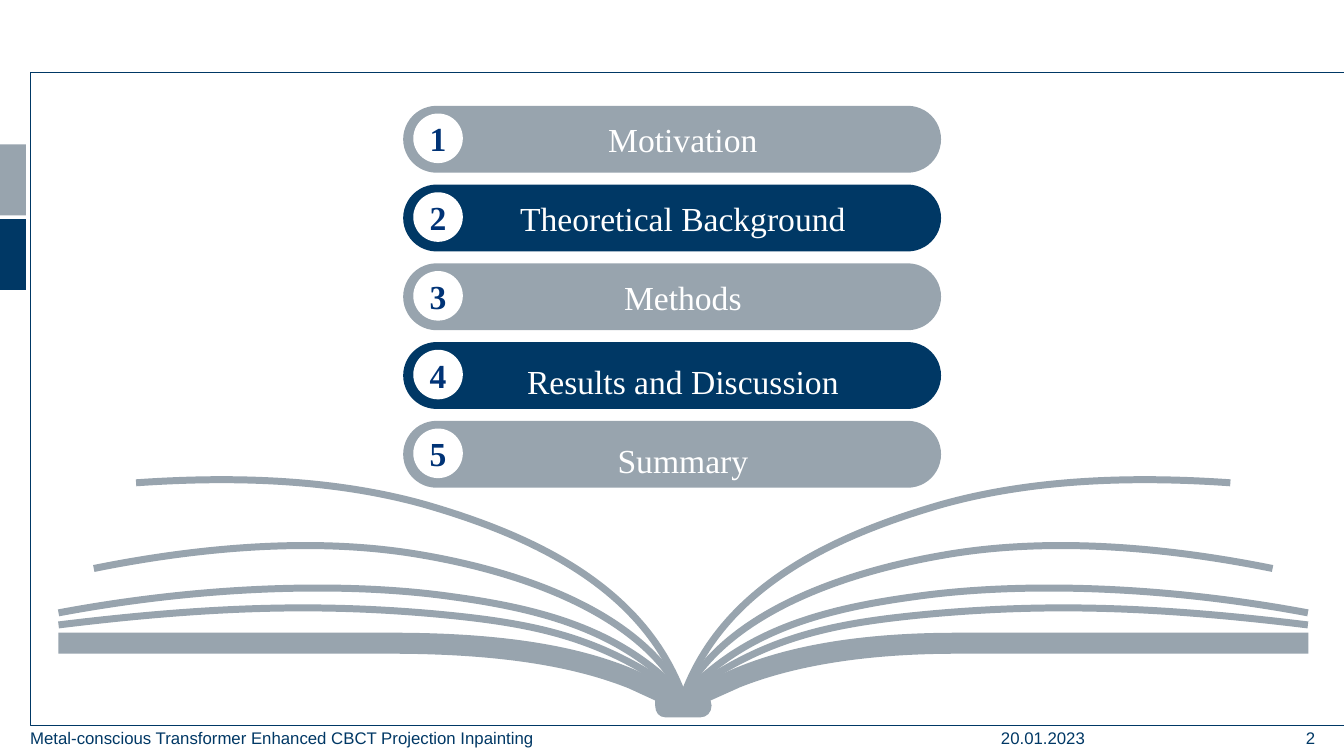
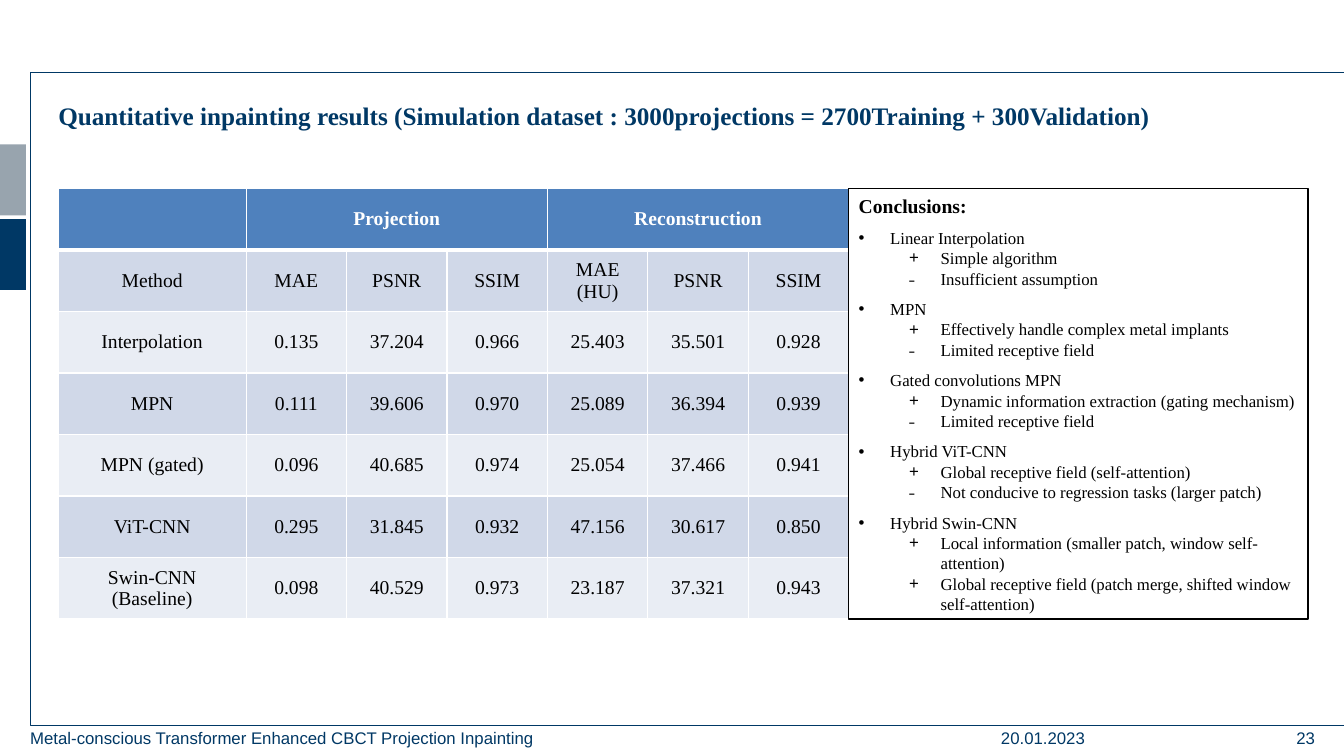
from dataclasses import dataclass

from lxml import etree
from pptx import Presentation
from pptx.dml.color import RGBColor
from pptx.enum.shapes import MSO_SHAPE
from pptx.enum.text import MSO_ANCHOR, MSO_AUTO_SIZE, PP_ALIGN
from pptx.oxml.ns import qn
from pptx.util import Pt

RECTANGLE, PILL, CIRCLE = MSO_SHAPE.RECTANGLE, MSO_SHAPE.ROUNDED_RECTANGLE, MSO_SHAPE.OVAL
LEFT, CENTER, RIGHT = PP_ALIGN.LEFT, PP_ALIGN.CENTER, PP_ALIGN.RIGHT
TOP, MIDDLE = MSO_ANCHOR.TOP, MSO_ANCHOR.MIDDLE
NO_AUTOFIT = MSO_AUTO_SIZE.NONE


@dataclass(frozen=True)
class Theme:
    navy: str = "003865"
    gray: str = "98A4AE"
    number: str = "003376"
    white: str = "FFFFFF"
    black: str = "000000"
    header: str = "4F81BD"
    bands: tuple = ("D0D8E8", "E9EDF4")
    serif: str = "Times New Roman"
    sans: str = "Arial"
    agenda_size: int = 24
    title_size: int = 18
    table_size: int = 14
    note_size: int = 12
    footer_size: int = 12


THEME = Theme()
SLIDE_WIDTH, SLIDE_HEIGHT = 960, 540
MARGIN, CONTENT_WIDTH = 41.6, 892.6
FRAME_LEFT, FRAME_TOP, FRAME_BOTTOM = 21.6, 52, 518.4
SPINE_X, SPINE_Y = 488, 497.5
NOTE_INSETS = (7.2, 3.6, 7.2, 3.6)

AGENDA = [
    ("Motivation", 1),
    ("Theoretical Background", 1),
    ("Methods", 1),
    ("Results and Discussion", 1.3),
    ("Summary", 1.3),
]

LEFT_PAGES = [
    [(446.4, 452.2, 392.4, 435.6, 322.6, 426.2), (257.8, 416.9, 157, 416.2, 41.8, 437.8)],
    [(429.8, 454.3, 380.9, 445, 310.3, 438.5), (229.7, 431.3, 153.4, 432.7, 41.8, 446.4)],
    [(457.9, 437.8, 372.2, 408.2, 298.8, 396), (234.7, 385.2, 156.2, 388.1, 67, 406.1)],
    [(459.4, 418.3, 378.7, 382.3, 304.6, 360.7), (241.2, 342.7, 169.9, 339.8, 97.2, 344.9)],
]

COVER_START = (41.8, 452)
COVER = [
    (272.9, 452), (362.2, 451.4, 424.8, 462.2, 469.4, 486),
    (483.8, 494.6), (492.5, 494.6), (506.9, 486),
    (553.7, 460.8, 616.3, 452, 683.3, 452),
    (934.6, 452), (934.6, 467), (683.3, 467),
    (625.7, 467, 571.7, 473.8, 528.5, 491),
    (507.6, 500.4), (508.3, 504), (508.3, 509, 504.7, 512.4, 500.4, 512.4),
    (475.2, 512.4), (470.9, 512.4, 468, 509, 468, 504),
    (468, 500.4), (449.3, 491.8),
    (406.1, 474.5, 349.2, 466.6, 272.9, 467), (41.8, 467),
]

RESULTS = [
    ["", "Projection", "", "", "Reconstruction", "", ""],
    ["Method", "MAE", "PSNR", "SSIM", "MAE (HU)", "PSNR", "SSIM"],
    ["Interpolation", "0.135", "37.204", "0.966", "25.403", "35.501", "0.928"],
    ["MPN", "0.111", "39.606", "0.970", "25.089", "36.394", "0.939"],
    ["MPN (gated)", "0.096", "40.685", "0.974", "25.054", "37.466", "0.941"],
    ["ViT-CNN", "0.295", "31.845", "0.932", "47.156", "30.617", "0.850"],
    ["Swin-CNN (Baseline)", "0.098", "40.529", "0.973", "23.187", "37.321", "0.943"],
]

CONCLUSIONS = [
    ("Linear Interpolation",
     [("+", "Simple algorithm"), ("˗", "Insufficient assumption")]),
    ("MPN",
     [("+", "Effectively handle complex metal implants"), ("˗", "Limited receptive field")]),
    ("Gated convolutions MPN",
     [("+", "Dynamic information extraction (gating mechanism)"),
      ("˗", "Limited receptive field")]),
    ("Hybrid ViT-CNN",
     [("+", "Global receptive field (self-attention)"),
      ("˗", "Not conducive to regression tasks (larger patch)")]),
    ("Hybrid Swin-CNN",
     [("+", "Local information (smaller patch, window self-attention)"),
      ("+", "Global receptive field (patch merge, shifted window self-attention)")]),
]


def rgb(color):
    return RGBColor.from_string(color)


def apply(target, values):
    for name, value in values.items():
        setattr(target, name, value)


def write(paragraph, text, size, color, face=THEME.serif, bold=False, **layout):
    apply(paragraph, layout)
    run = paragraph.add_run()
    run.text = text
    apply(run.font, {"name": face, "size": Pt(size), "bold": bold})
    run.font.color.rgb = rgb(color)


def set_frame(frame, insets=(0, 0, 0, 0), anchor=TOP, wrap=True):
    left, top, right, bottom = map(Pt, insets)
    apply(frame, {
        "margin_left": left, "margin_top": top,
        "margin_right": right, "margin_bottom": bottom,
        "vertical_anchor": anchor, "word_wrap": wrap, "auto_size": NO_AUTOFIT,
    })
    return frame.paragraphs[0]


def paint(shape, fill=None, line=None, weight=1):
    shape.shadow.inherit = False
    if fill:
        shape.fill.solid()
        shape.fill.fore_color.rgb = rgb(fill)
    else:
        shape.fill.background()
    if line:
        shape.line.color.rgb = rgb(line)
        shape.line.width = Pt(weight)
    else:
        shape.line.fill.background()


def add_block(slide, kind, box, **colors):
    shape = slide.shapes.add_shape(kind, *map(Pt, box))
    paint(shape, **colors)
    return shape


def add_frame(slide, box):
    return slide.shapes.add_textbox(*map(Pt, box)).text_frame


def add_label(slide, box, text, align=LEFT):
    write(set_frame(add_frame(slide, box)), text, THEME.footer_size, THEME.navy,
          THEME.sans, alignment=align)


def bend(outline, segments):
    steps = iter(list(outline.iter(qn("a:lnTo"))))
    for segment in segments:
        first = next(steps)
        if len(segment) == 6:
            first.tag = qn("a:cubicBezTo")
            for follower in (next(steps), next(steps)):
                first.append(follower[0])
                follower.getparent().remove(follower)


def add_outline(slide, start, segments, closed=False, mirrored=False, **colors):
    points = [start]
    for segment in segments:
        points.extend(zip(segment[::2], segment[1::2]))
    if mirrored:
        points = [(2 * SPINE_X - x, y) for x, y in points]
    points = [(Pt(x), Pt(y)) for x, y in points]
    builder = slide.shapes.build_freeform(*points[0])
    builder.add_line_segments(points[1:], close=closed)
    shape = builder.convert_to_shape()
    bend(shape._element, segments)
    paint(shape, **colors)


def add_common_parts(slide, page):
    add_block(slide, RECTANGLE, (0, 156.5, 18.6, 50.6), fill=THEME.navy)
    add_block(slide, RECTANGLE, (0, 103.2, 18.6, 50.6), fill=THEME.gray)
    add_outline(slide, (SLIDE_WIDTH, FRAME_TOP),
                [(FRAME_LEFT, FRAME_TOP), (FRAME_LEFT, FRAME_BOTTOM),
                 (SLIDE_WIDTH, FRAME_BOTTOM)],
                line=THEME.navy, weight=0.75)
    add_label(slide, (715, 520, 113, 15), "20.01.2023")
    add_label(slide, (FRAME_LEFT, 520, 642, 15),
              "Metal-conscious Transformer Enhanced CBCT Projection Inpainting")
    add_label(slide, (864, 520, 75.4, 15), page, RIGHT)


def add_book(slide):
    for page in LEFT_PAGES:
        for mirrored in (False, True):
            add_outline(slide, (SPINE_X, SPINE_Y), page, mirrored=mirrored,
                        line=THEME.gray, weight=5)
    add_outline(slide, COVER_START, COVER, closed=True, fill=THEME.gray)


def add_agenda(slide):
    left, first_top, pitch = 288, 75.6, 56.25
    for index, (topic, spacing) in enumerate(AGENDA):
        top = first_top + index * pitch
        pill = add_block(slide, PILL, (left, top, 384.2, 47.8),
                         fill=(THEME.gray, THEME.navy)[index % 2])
        pill.adjustments[0] = 0.5
        write(set_frame(pill.text_frame, (22.5, 3.6, 7.2, 3.6), MIDDLE, False),
              topic, THEME.agenda_size, THEME.white, alignment=CENTER, line_spacing=spacing)
        badge = add_block(slide, CIRCLE, (left + 7.2, top + 5.5, 35.4, 35.4), fill=THEME.white)
        write(set_frame(badge.text_frame, anchor=MIDDLE), str(index + 1),
              THEME.agenda_size, THEME.number, bold=True, alignment=CENTER)


def set_title(slide, text):
    title = slide.shapes.title
    apply(title, {"left": Pt(MARGIN), "top": Pt(71.4),
                  "width": Pt(CONTENT_WIDTH), "height": Pt(26)})
    write(set_frame(title.text_frame), text, THEME.title_size, THEME.navy,
          bold=True, alignment=LEFT)


def set_borders(cell, weights):
    properties = cell._tc.get_or_add_tcPr()
    for side, weight in weights.items():
        border = etree.SubElement(properties, qn(f"a:ln{side}"), w=str(Pt(weight)))
        fill = etree.SubElement(border, qn("a:solidFill"))
        etree.SubElement(fill, qn("a:srgbClr"), val=THEME.white)


def add_results(slide, top, height):
    row_count, column_count = len(RESULTS), len(RESULTS[0])
    method_width, metric_width = 134.2, 71.75
    width = method_width + (column_count - 1) * metric_width
    table = slide.shapes.add_table(row_count, column_count, Pt(MARGIN), Pt(top),
                                   Pt(width), Pt(height)).table
    for index, column in enumerate(table.columns):
        column.width = Pt(metric_width if index else method_width)
    for row_index, values in enumerate(RESULTS):
        table.rows[row_index].height = Pt(height / row_count)
        is_header = row_index == 0
        color = THEME.header if is_header else THEME.bands[(row_index - 1) % 2]
        for column_index, text in enumerate(values):
            cell = table.cell(row_index, column_index)
            set_borders(cell, {"L": 1, "R": 1, "T": 3 if row_index == 1 else 1,
                               "B": 3 if is_header else 1})
            cell.fill.solid()
            cell.fill.fore_color.rgb = rgb(color)
            cell.vertical_anchor = MIDDLE
            if text:
                write(cell.text_frame.paragraphs[0], text, THEME.table_size,
                      THEME.white if is_header else THEME.black,
                      bold=is_header, alignment=CENTER)
    for first in (1, 4):
        table.cell(0, first).merge(table.cell(0, first + 2))
    return MARGIN + width


def write_bullet(paragraph, mark, text, indent):
    properties = paragraph._p.get_or_add_pPr()
    properties.set("marL", str(Pt(indent)))
    properties.set("indent", str(Pt(-22.5)))
    etree.SubElement(properties, qn("a:buFont"), typeface=THEME.sans)
    etree.SubElement(properties, qn("a:buChar"), char=mark)
    write(paragraph, text, THEME.note_size, THEME.black, alignment=LEFT,
          line_spacing=Pt(14.55))


def add_conclusions(slide, left, top, height):
    width = MARGIN + CONTENT_WIDTH - left
    heading_height, group_height, last_height = 24.3, 50.85, 80
    heading = add_frame(slide, (left, top, width, heading_height))
    write(set_frame(heading, NOTE_INSETS), "Conclusions:", THEME.table_size,
          THEME.black, bold=True, line_spacing=Pt(17.2))
    for index, (method, remarks) in enumerate(CONCLUSIONS):
        is_last = index == len(CONCLUSIONS) - 1
        group_top = top + heading_height + index * group_height
        frame = add_frame(slide, (left, group_top, width,
                                  last_height if is_last else group_height))
        write_bullet(set_frame(frame, NOTE_INSETS), "•", method, 22.5)
        for mark, remark in remarks:
            write_bullet(frame.add_paragraph(), mark, remark, 58.5)
    add_block(slide, RECTANGLE, (left, top, width, height), line=THEME.black)


def main():
    deck = Presentation()
    deck.slide_width, deck.slide_height = Pt(SLIDE_WIDTH), Pt(SLIDE_HEIGHT)
    title_only, blank = deck.slide_layouts[5], deck.slide_layouts[6]

    agenda = deck.slides.add_slide(blank)
    add_common_parts(agenda, "2")
    add_book(agenda)
    add_agenda(agenda)

    results = deck.slides.add_slide(title_only)
    add_common_parts(results, "23")
    set_title(results, "Quantitative inpainting results (Simulation dataset : "
                       "3000projections = 2700Training + 300Validation)")
    top, height = 134.6, 307.7
    table_right = add_results(results, top, height)
    add_conclusions(results, table_right, top, height)

    deck.save("out.pptx")


if __name__ == "__main__":
    main()
